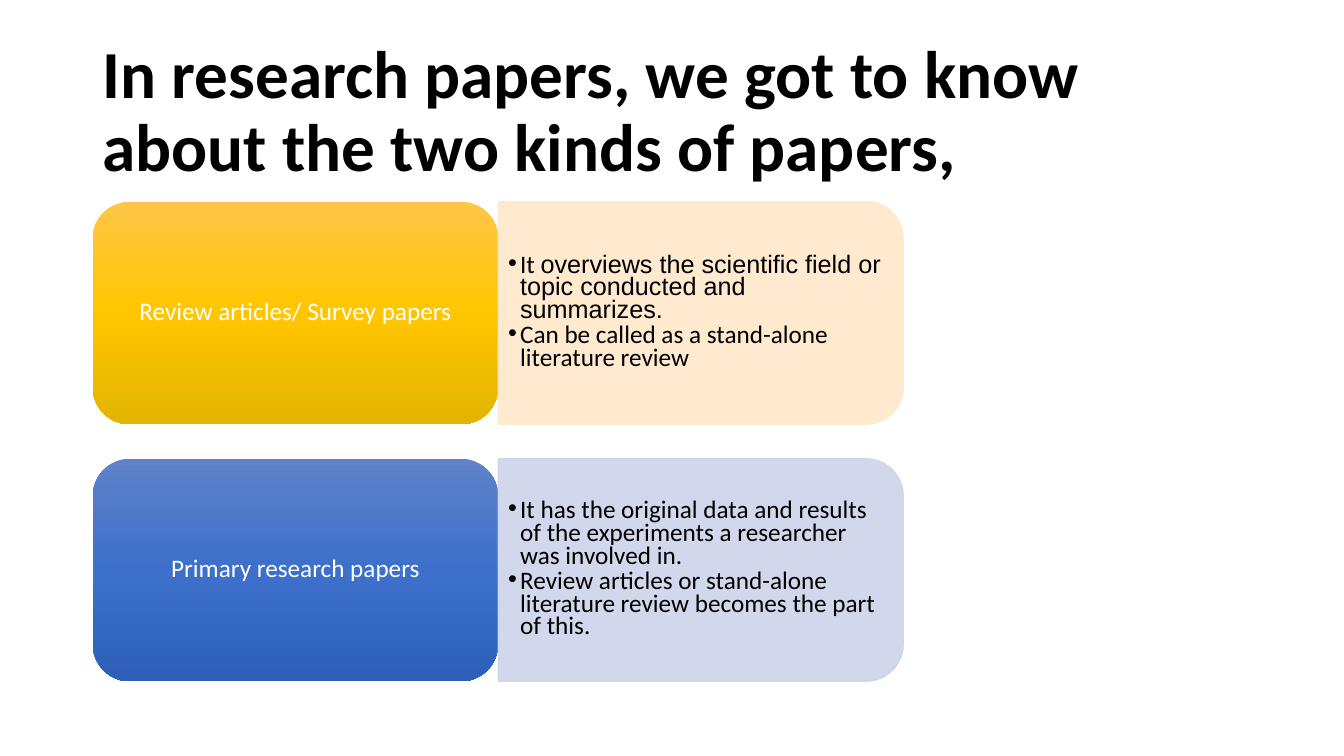
from lxml import etree
from pptx import Presentation
from pptx.dml.color import RGBColor
from pptx.enum import shapes, text
from pptx.oxml import ns
from pptx.util import Inches, Pt

HUES = {
    "black": "000000", "white": "FFFFFF",
    "amber": ("FFC647", "FFC600", "E3B400"), "cream": "FFE8CA",
    "blue": ("5F82CA", "3C70CA", "2E60B9"), "pale": "CDD4EA",
}
KINDS = [
    ("Review articles/ Survey papers", "amber", "cream", [
        [("It ", "Calibri"),
         ("overviews the scientific field or topic conducted and summarizes.", "Arial")],
        [("Can be called as a stand-alone literature review", "Calibri")]]),
    ("Primary research papers", "blue", "pale", [
        [("It has the original data and results of the experiments "
          "a researcher was involved in.", "Calibri")],
        [("Review articles or stand-alone literature review becomes "
          "the part of this.", "Calibri")]]),
]
SHAPE = shapes.MSO_SHAPE


def node(parent, tag, **attrs):
    return etree.SubElement(parent, ns.qn("a:" + tag), **attrs)


def apply(item, values):
    for key, value in values.items():
        setattr(item, key, value)


def write(par, runs, hue, size=18, bold=False):
    for words, face in runs:
        run = par.add_run()
        run.text = words
        apply(run.font, {"name": face, "size": Pt(size), "bold": bold})
        run.font.color.rgb = RGBColor.from_string(HUES[hue])


def frame(shape):
    body = shape.text_frame
    apply(body, {"word_wrap": True, "vertical_anchor": text.MSO_ANCHOR.MIDDLE})
    return body


def textbox(slide, box):
    return frame(slide.shapes.add_textbox(*map(Inches, box)))


def block(slide, kind, box):
    shape = slide.shapes.add_shape(kind, *map(Inches, box))
    shape.shadow.inherit = False
    shape.adjustments[0] = 0.167
    return shape


def title(slide, box):
    par = textbox(slide, box).paragraphs[0]
    par.line_spacing = 0.9
    write(par, [("In research papers, we got to know about the two kinds of papers,",
                 "Calibri")], "black", 48, True)


def label(slide, box, words, hue):
    """Rounded box with a vertical three-stop gradient."""
    shape = block(slide, SHAPE.ROUNDED_RECTANGLE, box)
    shape.line.fill.background()
    shape.fill.gradient()
    shape.fill.gradient_angle = 270
    stops = shape._element.spPr.find(".//" + ns.qn("a:gsLst"))
    for stop in list(stops):
        stops.remove(stop)
    for i, tone in enumerate(HUES[hue]):
        node(node(stops, "gs", pos=str(i * 50000)), "srgbClr", val=tone)
    par = frame(shape).paragraphs[0]
    apply(par, {"alignment": text.PP_ALIGN.CENTER, "line_spacing": 0.85})
    write(par, [(words, "Calibri")], "white")


def panel(slide, box, hue):
    """Box rounded on its right side: a top-rounded shape turned by 90 degrees."""
    x, y, w, h = box
    shape = block(slide, SHAPE.ROUND_2_SAME_RECTANGLE,
                  (x + (w - h) / 2, y + (h - w) / 2, h, w))
    shape.rotation = 90
    shape.fill.solid()
    shape.line.width = Pt(0.75)
    for paint in (shape.fill.fore_color, shape.line.color):
        paint.rgb = RGBColor.from_string(HUES[hue])
    for tone in shape._element.spPr.iter(ns.qn("a:srgbClr")):
        node(tone, "alpha", val="90000")


def points(slide, box, items):
    body = textbox(slide, box)
    for i, runs in enumerate(items):
        par = body.add_paragraph() if i else body.paragraphs[0]
        apply(par, {"level": 1, "line_spacing": 0.75, "space_before": Pt(1.8 * i)})
        props = par._p.get_or_add_pPr()
        props.set("marL", str(Inches(0.12)))
        props.set("indent", str(Inches(-0.12)))
        node(node(props, "buClr"), "srgbClr", val=HUES["black"])
        node(props, "buFont", typeface="Arial")
        node(props, "buChar", char="•")
        write(par, runs, "black")


def row(slide, box, name, hue, tint, items):
    x, y, w, h = box
    half = w / 2
    label(slide, (x, y, half, h), name, hue)
    panel(slide, (x + half, y, half, h), tint)
    points(slide, (x + half, y + 0.1, half - 0.1, h - 0.2), items)


def main():
    deck = Presentation()
    apply(deck, {"slide_width": Inches(13.33), "slide_height": Inches(7.5)})
    slide = deck.slides.add_slide(deck.slide_layouts[6])
    title(slide, (0.92, 0.4, 11.5, 1.45))
    for i, kind in enumerate(KINDS):
        row(slide, (0.92, 2 + 2.55 * i, 8.04, 2.21), *kind)
    deck.save("out.pptx")


if __name__ == "__main__":
    main()
